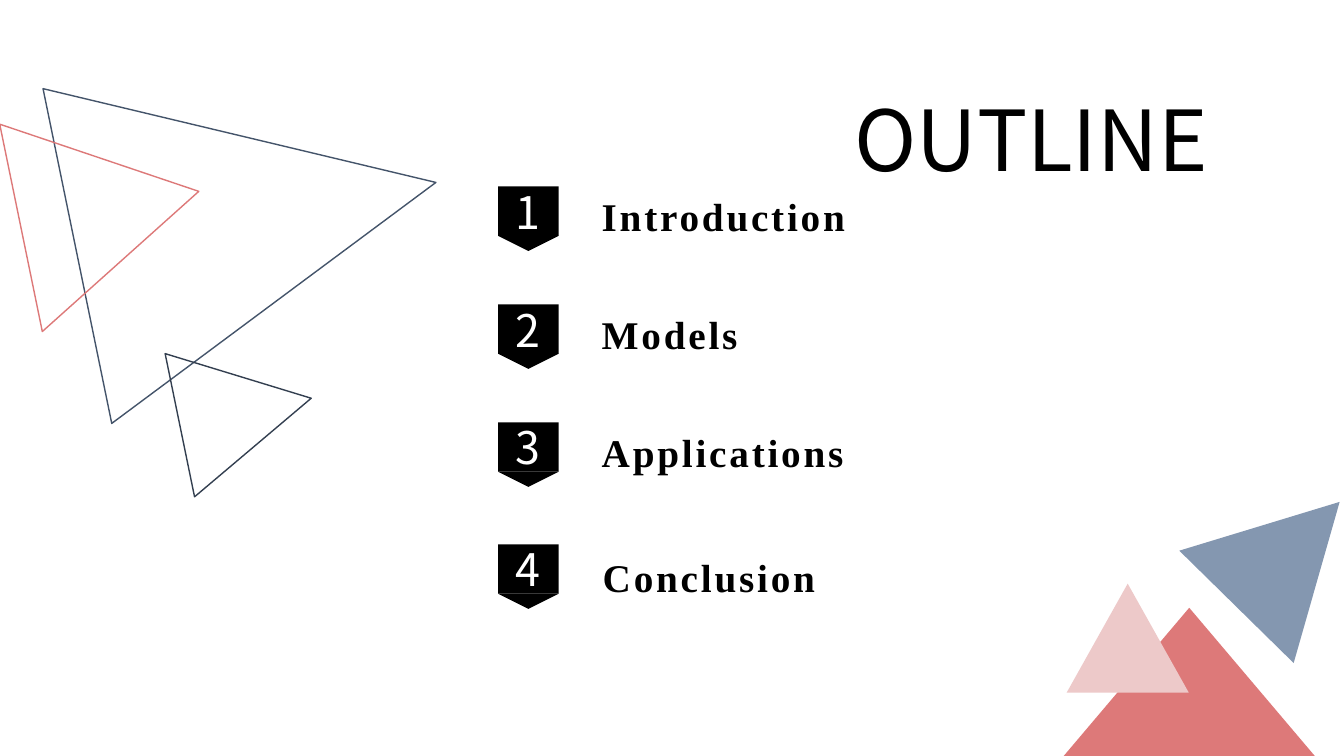
"""Build the OUTLINE agenda slide with numbered markers and decorative triangles."""
from pptx import Presentation
from pptx.dml.color import RGBColor
from pptx.enum.shapes import MSO_SHAPE
from pptx.enum.text import MSO_ANCHOR, MSO_AUTO_SIZE, PP_ALIGN
from pptx.util import Inches, Pt

BLACK = RGBColor(0x00, 0x00, 0x00)
WHITE = RGBColor(0xFF, 0xFF, 0xFF)
SLATE = RGBColor(0x44, 0x54, 0x6A)
NAVY = RGBColor(0x33, 0x3F, 0x50)
CORAL = RGBColor(0xDD, 0x79, 0x79)
PINK = RGBColor(0xED, 0xC9, 0xC9)
BLUE = RGBColor(0x84, 0x97, 0xB0)
SANS, SERIF = "Noto Sans CJK SC", "Times New Roman"

prs = Presentation()
prs.slide_width, prs.slide_height = Inches(13.33), Inches(7.5)
s = prs.slides.add_slide(prs.slide_layouts[5])


def add_shape(kind, box, fill=None, line=None, rotation=0):
    sp = s.shapes.add_shape(kind, *map(Inches, box))
    sp.shadow.inherit = False
    sp.rotation = rotation
    if fill is None:
        sp.fill.background()
    else:
        sp.fill.solid()
        sp.fill.fore_color.rgb = fill
    if line is None:
        sp.line.fill.background()
    else:
        sp.line.color.rgb = line
        sp.line.width = Pt(1)
    return sp


def write(sp, text, color, align, **formats):
    tf = sp.text_frame
    tf.word_wrap = True
    p = tf.paragraphs[0]
    p.alignment = align
    r = p.add_run()
    r.text = text
    r.font.color.rgb = color
    for name, value in formats.items():
        setattr(r.font, name, value)
    return r


for box, fill, line, rotation in [
    ((0.85, 0.36, 3.39, 3.63), None, SLATE, 78.4),
    ((1.71, 3.42, 1.45, 1.33), None, NAVY, 78.4),
    ((0.04, 1.18, 2.1, 1.8), None, CORAL, 78.4),
    ((10.55, 6.03, 2.49, 1.47), CORAL, None, 0),
    ((10.58, 5.79, 1.21, 1.08), PINK, None, 0),
    ((11.98, 4.77, 1.59, 1.46), BLUE, None, 44.5),
]:
    add_shape(MSO_SHAPE.ISOSCELES_TRIANGLE, box, fill, line, rotation)

title = s.shapes.title
title.left, title.top, title.width, title.height = map(Inches, (7.64, 0.81, 5.17, 1.11))
tf = title.text_frame
tf.auto_size = MSO_AUTO_SIZE.NONE
tf.vertical_anchor = MSO_ANCHOR.MIDDLE
tf.margin_top = tf.margin_bottom = 0
write(title, "OUTLINE", BLACK, PP_ALIGN.CENTER, name=SANS, size=Pt(60))

MARK_X, MARK_W, MARK_H, TIP_H = 4.94, 0.6, 0.49, 0.15
items = [
    ("Introduction", 1.85, 5.87, 1.86),
    ("Models", 3.02, 5.87, 3.03),
    ("Applications", 4.19, 5.87, 4.2),
    ("Conclusion", 5.4, 5.88, 5.44),
]
for number, (label, mark_y, label_x, label_y) in enumerate(items, 1):
    mark = add_shape(MSO_SHAPE.RECTANGLE, (MARK_X, mark_y, MARK_W, MARK_H), BLACK)
    mark.text_frame.vertical_anchor = MSO_ANCHOR.MIDDLE
    write(mark, str(number), WHITE, PP_ALIGN.CENTER, name=SANS, size=Pt(32))
    add_shape(MSO_SHAPE.ISOSCELES_TRIANGLE,
              (MARK_X, mark_y + MARK_H, MARK_W, TIP_H), BLACK, rotation=180)
    tb = s.shapes.add_textbox(*map(Inches, (label_x, label_y, 3.56, 0.57)))
    r = write(tb, label, BLACK, PP_ALIGN.LEFT, name=SERIF, size=Pt(28), bold=True)
    r.font._element.set("spc", "200")

prs.save("out.pptx")
